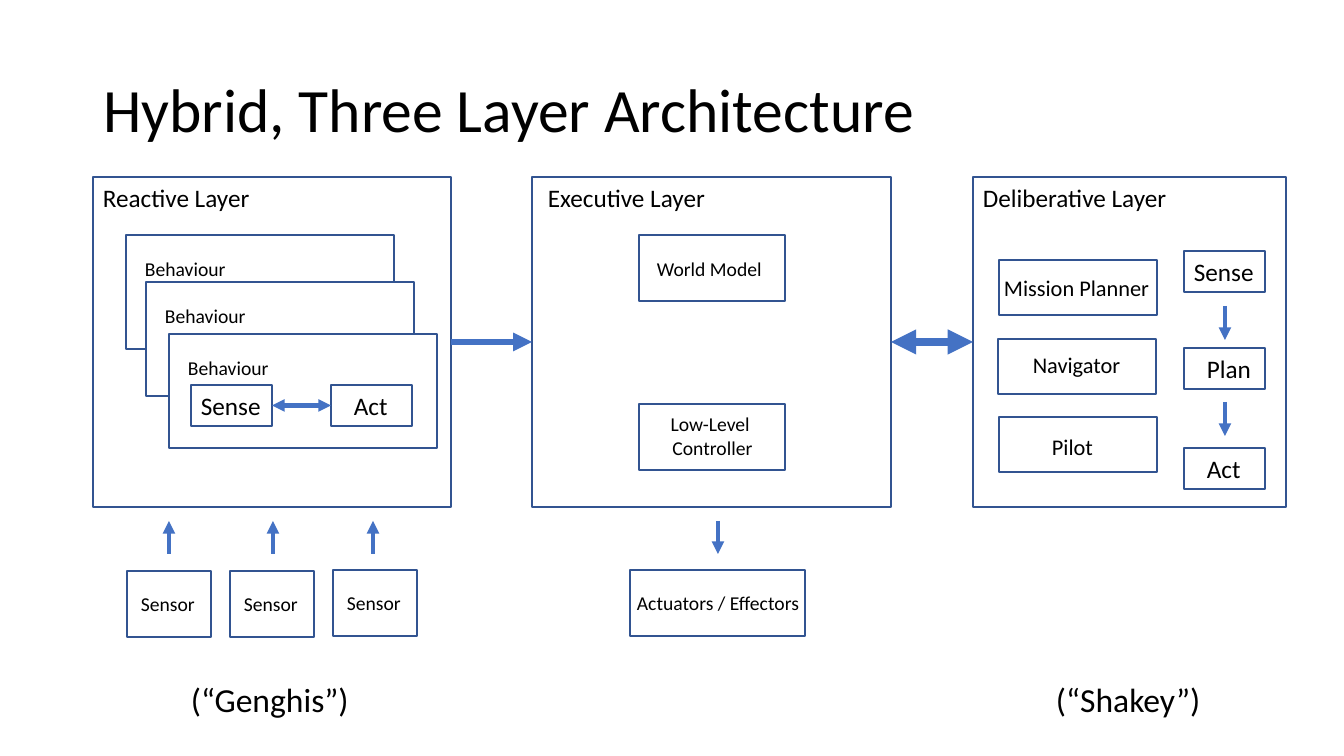
from lxml.etree import SubElement
from pptx import Presentation
from pptx.dml.color import RGBColor
from pptx.enum.shapes import MSO_CONNECTOR, MSO_SHAPE
from pptx.enum.text import MSO_ANCHOR, MSO_AUTO_SIZE, PP_ALIGN
from pptx.oxml.ns import qn
from pptx.util import Emu, Pt

WHITE = RGBColor(0xFF, 0xFF, 0xFF)
BLACK = RGBColor(0x00, 0x00, 0x00)
OUTLINE = RGBColor(0x32, 0x54, 0x91)
ARROW = RGBColor(0x44, 0x72, 0xC4)
PX_PER_INCH = 100.8
TOP, LEFT, BOTTOM, RIGHT = range(4)


def px(length):
    return Emu(round(length * 914400 / PX_PER_INCH))


def apply(target, values):
    for name, value in values.items():
        setattr(target, name, value)


class Diagram:
    """Holds the style and the slide being drawn."""

    font = "Calibri"

    def __init__(self, deck):
        self.page = deck.slides.add_slide(deck.slide_layouts[5])
        self.shapes = self.page.shapes

    def fill_text(self, frame, text, size, align, **spacing):
        frame.text = text
        for para in frame.paragraphs:
            apply(para, {"alignment": align, **spacing})
            for span in para.runs:
                apply(span.font, {"name": self.font, "size": Pt(size)})
                span.font.color.rgb = BLACK

    def title(self, text, x, y, width, height):
        holder = self.shapes.title
        apply(holder, {"left": px(x), "top": px(y), "width": px(width), "height": px(height)})
        apply(holder.text_frame, {"vertical_anchor": MSO_ANCHOR.MIDDLE, "word_wrap": True})
        self.fill_text(holder.text_frame, text, 44, PP_ALIGN.LEFT, line_spacing=0.9)

    def box(self, x, y, width, height):
        box = self.shapes.add_shape(MSO_SHAPE.RECTANGLE, px(x), px(y), px(width), px(height))
        box.shadow.inherit = False
        box.fill.solid()
        box.fill.fore_color.rgb = WHITE
        box.line.color.rgb = OUTLINE
        box.line.width = Pt(1)
        return box

    def label(self, text, x, y, width, height, size, align=PP_ALIGN.LEFT, wrap=False):
        label = self.shapes.add_textbox(px(x), px(y), px(width), px(height))
        apply(label.text_frame, {"word_wrap": wrap, "auto_size": MSO_AUTO_SIZE.SHAPE_TO_FIT_TEXT})
        self.fill_text(label.text_frame, text, size, align)

    def arrow(self, x1, y1, x2, y2, width=3.0, double=False):
        arrow = self.shapes.add_connector(
            MSO_CONNECTOR.STRAIGHT, px(x1), px(y1), px(x2), px(y2))
        arrow.line.color.rgb = ARROW
        arrow.line.width = Pt(width)
        line = arrow._element.spPr.find(qn("a:ln"))
        for end in ("a:headEnd", "a:tailEnd") if double else ("a:tailEnd",):
            SubElement(line, qn(end), type="triangle")
        SubElement(arrow._element.spPr, qn("a:effectLst"))
        return arrow

    def link(self, left_box, right_box, width, double):
        """Arrow from the right side of one box to the left side of the next."""
        arrow = self.arrow(0, 0, 0, 0, width, double)
        arrow.begin_connect(left_box, RIGHT)
        arrow.end_connect(right_box, LEFT)

    def step(self, text, x, y, indent, width):
        box = self.box(x, y, 81, 41)
        self.label(text, x + indent, y, width, 40, 18)
        return box


def main():
    deck = Presentation()
    apply(deck, {"slide_width": px(1344), "slide_height": px(756)})
    diagram = Diagram(deck)
    diagram.title("Hybrid, Three Layer Architecture", 93, 40, 1159, 146)

    # Three layers and the arrows between them
    layers = []
    for text, x, width, indent, text_width in (
        ("Reactive Layer", 93, 358, 0, 168),
        ("Executive Layer", 532, 359, 6, 179),
        ("Deliberative Layer", 973, 313, 0, 207),
    ):
        layers.append(diagram.box(x, 177, width, 330))
        diagram.label(text, x + indent, 177, text_width, 40, 18)
    reactive, executive, deliberative = layers
    diagram.link(reactive, executive, 4.5, False)
    diagram.link(executive, deliberative, 6, True)

    # Reactive layer: stacked behaviours, the front one with sense and act
    for x, y in ((126, 235), (146, 282), (169, 334)):
        diagram.box(x, y, 268, 114)
        diagram.label("Behaviour", x + 9, y + 17, 102, 34, 14)
    sense = diagram.step("Sense", 191, 385, 0, 81)
    act = diagram.step("Act", 331, 385, 13, 54)
    diagram.link(sense, act, 3, True)

    # Executive layer
    for y in (235, 404):
        diagram.box(639, y, 146, 66)
    diagram.label("World Model", 647, 252, 126, 34, 14)
    diagram.label("Low-Level \nController", 660, 407, 105, 57, 14, PP_ALIGN.CENTER)

    # Deliberative layer: planners, then sense, plan and act
    for text, x, y, text_x, text_y in (
        ("Mission Planner", 999, 260, 992, 269),
        ("Navigator", 998, 339, 992, 346),
        ("Pilot", 999, 417, 988, 428),
    ):
        diagram.box(x, y, 158, 55)
        diagram.label(text, text_x, text_y, 169, 37, 16, PP_ALIGN.CENTER, wrap=True)
    for text, y, indent, width in (
        ("Sense", 251, 0, 81), ("Plan", 348, 13, 65), ("Act", 448, 13, 54),
    ):
        diagram.step(text, 1184, y, indent, width)
    for y in (306, 402):
        diagram.arrow(1225, y, 1225, y + 34)

    # Sensors and actuators
    for x, y, arrow_x in ((127, 571, 169), (230, 571, 273), (333, 570, 373)):
        diagram.box(x, y, 84, 66)
        diagram.label("Sensor", x + 4, y + 16, 75, 34, 14)
        diagram.arrow(arrow_x, 554, arrow_x, 521)
    diagram.box(630, 570, 175, 66)
    diagram.label("Actuators / Effectors", 626, 586, 184, 34, 14, PP_ALIGN.CENTER)
    diagram.arrow(718, 521, 718, 554)

    # Example robots
    diagram.label("(“Genghis”)", 181, 674, 179, 50, 24)
    diagram.label("(“Shakey”)", 1046, 674, 166, 50, 24)

    deck.save("out.pptx")


if __name__ == "__main__":
    main()
